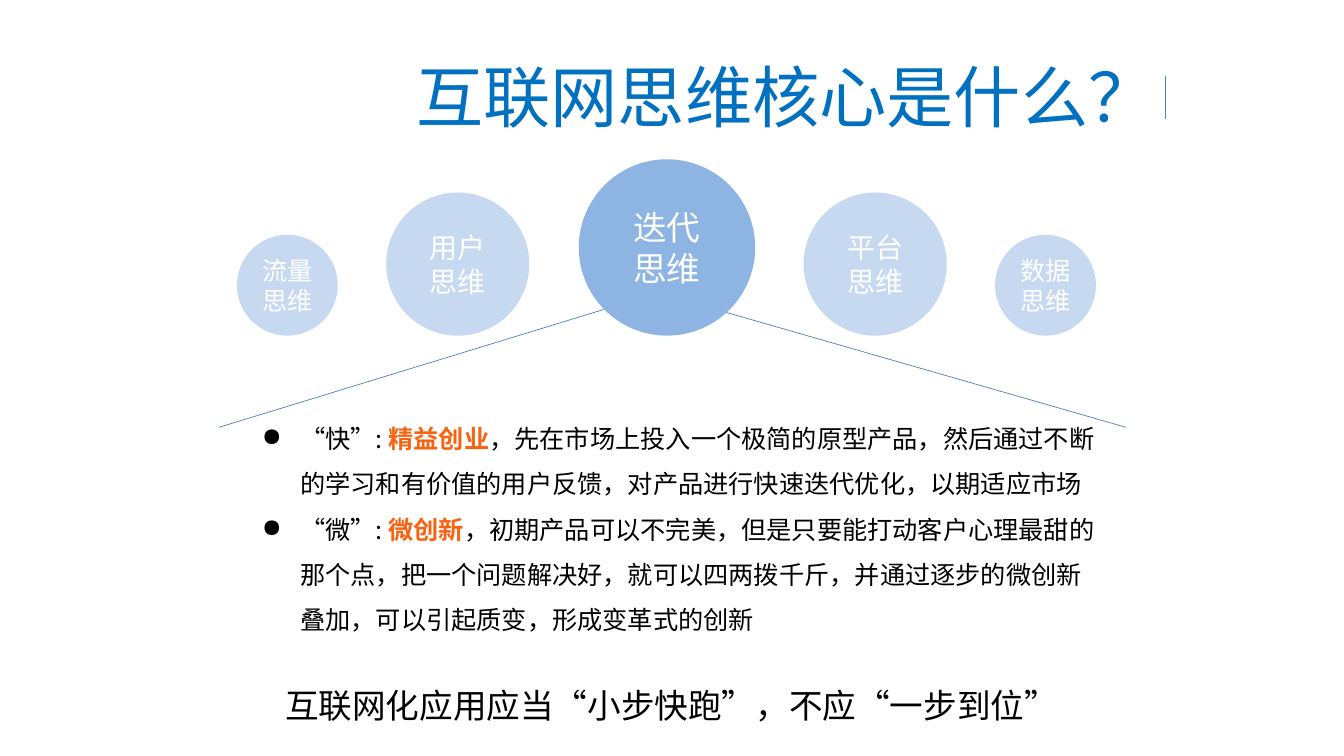
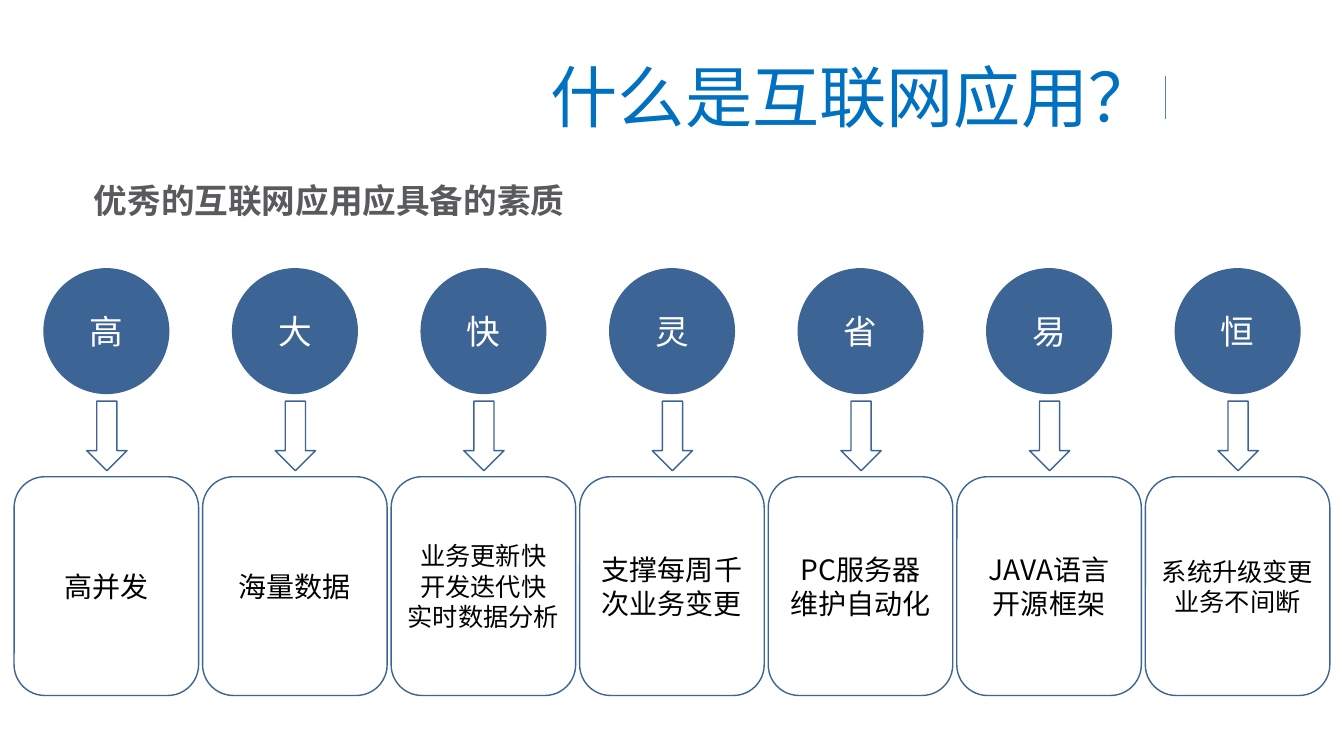
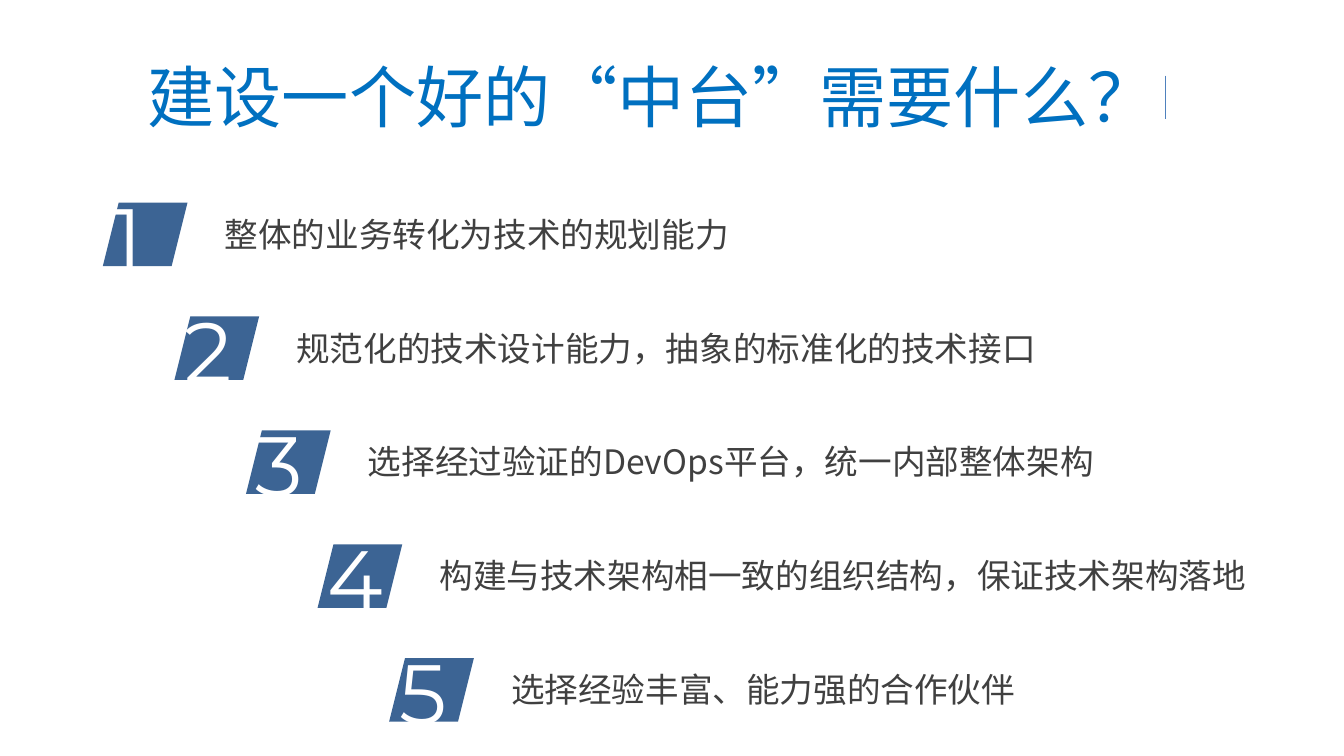
from pptx import Presentation
from pptx.dml.color import RGBColor
from pptx.enum.shapes import MSO_CONNECTOR, MSO_SHAPE
from pptx.enum.text import MSO_ANCHOR, PP_ALIGN
from pptx.oxml.ns import qn
from pptx.util import Inches, Pt
from lxml.etree import SubElement

COLORS = {
    "title": "0070C0", "rule": "4F81BD", "white": "FFFFFF", "black": "000000",
    "focus": "8EB4E3", "pale": "C6D9F1", "navy": "3C6494",
    "accent": "F76311", "heading": "595A5D", "text": "404040",
}
BODY_FONT, TITLE_FONT, NUMBER_FONT = "Noto Sans CJK SC", "Arial Narrow", "Montserrat"


def add_shape(slide, kind, left, top, width, height, fill=None, line=None):
    """Add a preset shape, or a text box when kind is None."""
    box = [Inches(value) for value in (left, top, width, height)]
    if kind is None:
        return slide.shapes.add_textbox(*box)
    shape = slide.shapes.add_shape(kind, *box)
    shape.shadow.inherit = False
    if fill:
        shape.fill.solid()
        shape.fill.fore_color.rgb = RGBColor.from_string(COLORS[fill])
    else:
        shape.fill.background()
    if line:
        shape.line.color.rgb = RGBColor.from_string(COLORS[line])
        shape.line.width = Pt(1)
    else:
        shape.line.fill.background()
    return shape


def write(shape, text, size, color, align=PP_ALIGN.CENTER, font=BODY_FONT,
          anchor=MSO_ANCHOR.MIDDLE, wrap=True):
    """Fill a shape; each line of text is a paragraph, and | parts its runs."""
    frame = shape.text_frame
    frame.word_wrap = wrap
    frame.vertical_anchor = anchor
    for index, line in enumerate(text.split("\n")):
        paragraph = frame.paragraphs[0] if index == 0 else frame.add_paragraph()
        paragraph.alignment = align
        for part in line.split("|"):
            run = paragraph.add_run()
            run.text = part
            run.font.size = Pt(size)
            run.font.name = font
            run.font.color.rgb = RGBColor.from_string(COLORS[color])
            SubElement(run._r.get_or_add_rPr(), qn("a:ea")).set("typeface", BODY_FONT)
    return frame


presentation = Presentation()
presentation.slide_width = Inches(13.33)
presentation.slide_height = Inches(7.5)

# Shared title and rules
title_rule = (11.56, 0.75, 11.56, 1.18)
pages = [
    ("互联网思维核心是什么？",
     [title_rule, (2.17, 4.24, 5.99, 3.07), (7.17, 3.09, 11.17, 4.24)]),
    ("什么是互联网应用？", [title_rule]),
    ("建设一个好的“中台”需要什么？", [title_rule]),
]
for title, rules in pages:
    slide = presentation.slides.add_slide(presentation.slide_layouts[6])
    title_box = add_shape(slide, None, 0.67, 0.64, 10.89, 0.62)
    write(title_box, title, 48, "title", PP_ALIGN.RIGHT, TITLE_FONT)
    for ends in rules:
        rule = slide.shapes.add_connector(
            MSO_CONNECTOR.STRAIGHT, *[Inches(value) for value in ends])
        rule.line.color.rgb = RGBColor.from_string(COLORS["rule"])
        rule.line.width = Pt(0.5)
        SubElement(rule._element.spPr, qn("a:effectLst"))
thinking_slide, qualities_slide, platform_slide = presentation.slides

# Ways of thinking: circles standing on one base line
base_line = 3.33
for label, left, diameter, size, fill in [
    ("迭代\n思维", 5.74, 1.75, 24, "focus"),
    ("用户\n思维", 3.83, 1.42, 20, "pale"),
    ("平台\n思维", 7.97, 1.42, 20, "pale"),
    ("流量\n思维", 2.35, 1, 18, "pale"),
    ("数据\n思维", 9.87, 1, 18, "pale"),
]:
    circle = add_shape(thinking_slide, MSO_SHAPE.OVAL, left, base_line - diameter,
                       diameter, diameter, fill)
    write(circle, label, size, "white")

points = (
    "“快”: |精益创业|，先在市场上投入一个极简的原型产品，然后通过不断的学习和有价值的用户反馈，"
    "对产品进行快速迭代优化，以期适应市场\n"
    "“微”: |微创新|，初期产品可以不完美，但是只要能打动客户心理最甜的那个点，把一个问题解决好，"
    "就可以四两拨千斤，并通过逐步的微创新叠加，可以引起质变，形成变革式的创新"
)
points_box = add_shape(thinking_slide, None, 2.5, 4, 8.5, 2.37)
frame = write(points_box, points, 18, "black", PP_ALIGN.LEFT, anchor=MSO_ANCHOR.TOP)
for paragraph in frame.paragraphs:
    paragraph.line_spacing = 1.5
    properties = paragraph._p.get_or_add_pPr()
    properties.set("marL", str(Inches(0.38)))
    properties.set("indent", str(-Inches(0.38)))
    SubElement(properties, qn("a:buChar")).set("char", "●")
    keyword = paragraph.runs[1]
    keyword.font.bold = True
    keyword.font.color.rgb = RGBColor.from_string(COLORS["accent"])

conclusion_box = add_shape(thinking_slide, None, 2.69, 6.75, 7.94, 0.5)
write(conclusion_box, "互联网化应用应当“小步快跑”，不应“一步到位”", 24, "black",
      anchor=MSO_ANCHOR.TOP, wrap=False)

# Qualities: columns of circle, arrow and card
heading_box = add_shape(qualities_slide, None, 0.43, 1.74, 5.67, 0.5)
frame = write(heading_box, "优秀的互联网应用应具备的素质", 24, "heading", anchor=MSO_ANCHOR.TOP)
frame.paragraphs[0].runs[0].font.bold = True

column_pitch = 1.87
for index, (quality, detail, size, inset) in enumerate([
    ("高", "高并发", 20, 0.1),
    ("大", "海量数据", 20, 0.1),
    ("快", "业务更新快\n开发迭代快\n实时数据分析", 18, 0),
    ("灵", "支撑每周千次业务变更", 20, 0.1),
    ("省", "PC服务器\n维护自动化", 20, 0.1),
    ("易", "JAVA语言\n开源框架", 20, 0.1),
    ("恒", "系统升级变更\n业务不间断", 18, 0),
]):
    offset = index * column_pitch
    circle = add_shape(qualities_slide, MSO_SHAPE.OVAL, 0.43 + offset, 2.66, 1.25, 1.25, "navy")
    write(circle, quality, 24, "white")
    add_shape(qualities_slide, MSO_SHAPE.DOWN_ARROW, 0.86 + offset, 3.98, 0.4, 0.69, line="navy")
    card = add_shape(qualities_slide, MSO_SHAPE.ROUNDED_RECTANGLE,
                     0.14 + offset, 4.73, 1.83, 2.17, line="navy")
    frame = write(card, detail, size, "black")
    frame.margin_left = frame.margin_right = Inches(inset)

# Platform needs: numbered staircase
for index, (need, width) in enumerate([
    ("整体的业务转化为技术的规划能力", 5.25),
    ("规范化的技术设计能力，抽象的标准化的技术接口", 7.61),
    ("选择经过验证的DevOps平台，统一内部整体架构", 7.56),
    ("构建与技术架构相一致的组织结构，保证技术架构落地", 8.28),
    ("选择经验丰富、能力强的合作伙伴", 5.25),
]):
    left, top = 1.02 + index * 0.71, 2.01 + index * 1.13
    add_shape(platform_slide, MSO_SHAPE.PARALLELOGRAM, left, top, 0.84, 0.63, "navy")
    number_box = add_shape(platform_slide, None, left, top - 0.23, 0.76, 1.11)
    write(number_box, str(index + 1), 60, "white", PP_ALIGN.LEFT, NUMBER_FONT,
          MSO_ANCHOR.TOP, wrap=False)
    need_box = add_shape(platform_slide, None, left + 1.11, top + 0.06, width, 0.5)
    write(need_box, need, 24, "text", PP_ALIGN.LEFT, anchor=MSO_ANCHOR.TOP, wrap=False)

presentation.save("out.pptx")
